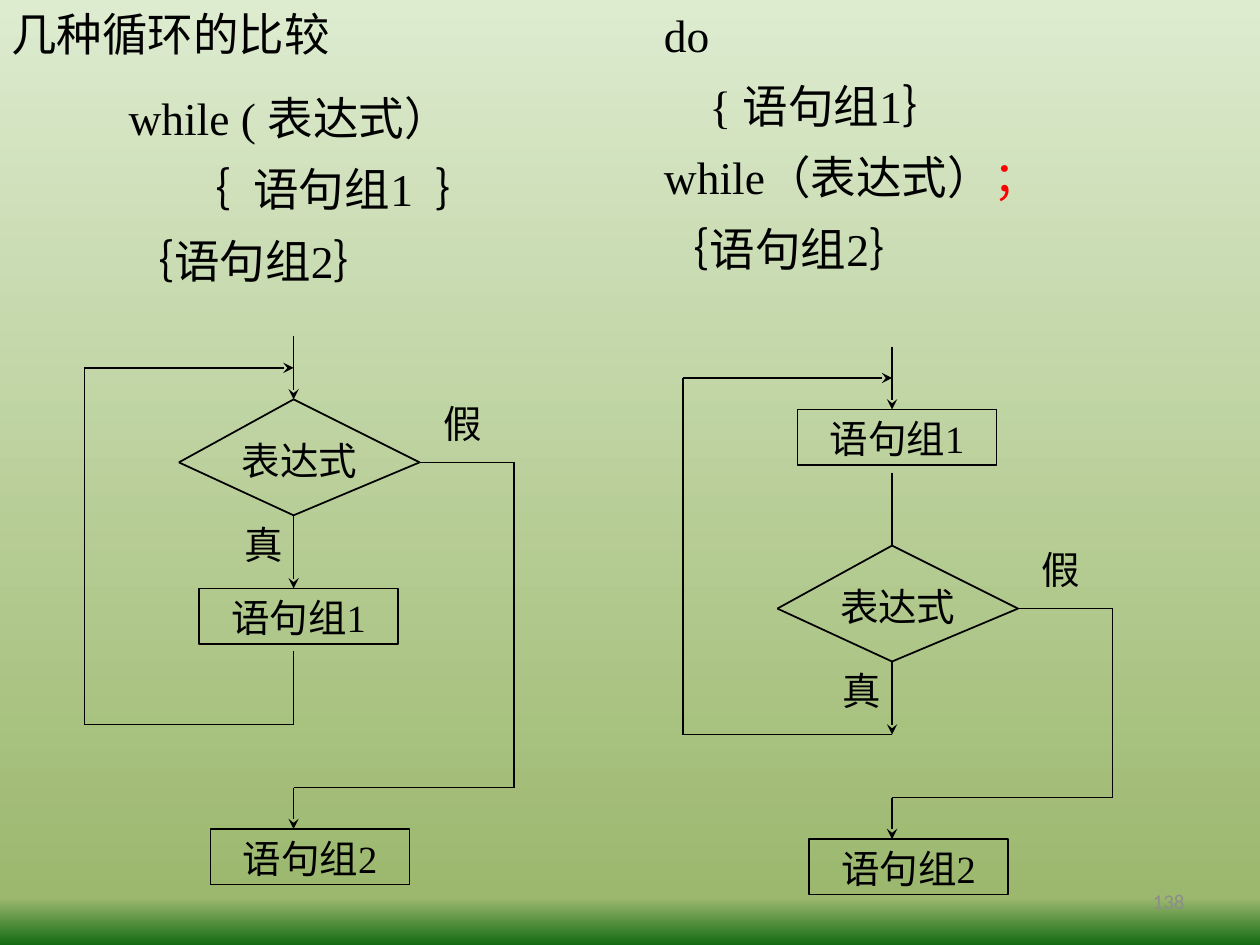
import copy
import itertools
import pptx
import pptx.util
import pptx.dml.color
import pptx.enum.shapes
import pptx.enum.text
import pptx.oxml
import pptx.oxml.ns

Inches = pptx.util.Inches
Pt = pptx.util.Pt
qn = pptx.oxml.ns.qn
ALIGN = pptx.enum.text.PP_ALIGN
COLORS = {"ink": "000000", "red": "FF0000", "gray": "8C8C8C",
          "pale": "DDEBCF", "leaf": "9CB86E", "deep": "156B13"}
WIDE = "\u2002"


def color(name):
    """Return the named colour."""
    return pptx.dml.color.RGBColor.from_string(COLORS[name])


def write(shape, lines, size=22, font="Times New Roman", ink="ink", align=None,
          lead=1.1, before=11, pad=(0.02, 0.01), wrap=True, grow=True, anchor="TOP"):
    """Fill a shape with lines, each an (indent, runs) pair of (text, colour) runs."""
    frame = shape.text_frame
    frame.word_wrap = wrap
    frame.margin_left = frame.margin_right = Inches(pad[0])
    frame.margin_top = frame.margin_bottom = Inches(pad[1])
    frame.vertical_anchor = pptx.enum.text.MSO_ANCHOR[anchor]
    if grow:
        frame.auto_size = pptx.enum.text.MSO_AUTO_SIZE.SHAPE_TO_FIT_TEXT
    if isinstance(lines, str):
        lines = [(0, [(lines, ink)])]
    for i, (indent, runs) in enumerate(lines):
        para = frame.add_paragraph() if i else frame.paragraphs[0]
        para.alignment = align or ALIGN.LEFT
        para.line_spacing = lead
        para.space_before = Pt(before)
        if indent:
            props = para._p.get_or_add_pPr()
            props.set("marL", str(Inches(indent)))
            props.set("indent", "0")
        for text, tint in runs:
            run = para.add_run()
            run.text = text
            run.font.size = Pt(size)
            run.font.name = font
            run.font.color.rgb = color(tint)


class Pen:
    """Draws the elements of one slide in one style."""

    def __init__(self, slide):
        """Start on the slide itself."""
        self.slide = slide
        self.shapes = slide.shapes

    def group(self):
        """Send what follows into a new group."""
        self.shapes = self.slide.shapes.add_group_shape().shapes

    def back(self, stops):
        """Paint a top to bottom gradient behind the slide."""
        fill = self.slide.background.fill
        fill.gradient()
        fill.gradient_angle = 270
        holder = next(self.slide.element.iter(qn("a:gsLst")))
        while len(holder) < len(stops):
            holder.append(copy.deepcopy(holder[0]))
        for stop, (place, name) in zip(fill.gradient_stops, stops):
            stop.position = place
            stop.color.rgb = color(name)

    def text(self, box, lines, **style):
        """Add a text box."""
        write(self.shapes.add_textbox(*map(Inches, box)), lines, **style)

    def box(self, x, y, text):
        """Add an outlined step box."""
        kind = pptx.enum.shapes.MSO_SHAPE.RECTANGLE
        shape = self.shapes.add_shape(kind, *map(Inches, (x, y, 1.58, 0.44)))
        shape.shadow.inherit = False
        shape.fill.background()
        shape.line.color.rgb = color("ink")
        shape.line.width = Pt(1)
        write(shape, text, align=ALIGN.CENTER)

    def path_line(self, *points, arrow=False):
        """Join points with lines, the last one with an arrowhead if asked."""
        kind = pptx.enum.shapes.MSO_CONNECTOR.STRAIGHT
        for start, end in itertools.pairwise(points):
            line = self.shapes.add_connector(kind, *map(Inches, start + end))
            line.line.color.rgb = color("ink")
            line.line.width = Pt(1)
            props = line._element.spPr
            props.append(pptx.oxml.parse_xml(
                '<a:effectLst xmlns:a="http://schemas.openxmlformats.org/drawingml/2006/main"/>'))
            if arrow and end == points[-1]:
                head = props.find(qn("a:ln")).makeelement(qn("a:tailEnd"), {"type": "stealth"})
                props.find(qn("a:ln")).append(head)

    def test(self, x, y):
        """Draw the decision diamond whose top is at x, y, with its labels."""
        top, right, low, left = (x, y), (x + 1, y + 0.5), (x, y + 0.92), (x - 0.91, y + 0.5)
        self.path_line(top, right, low, left, top)
        self.text((x - 0.58, y + 0.25, 1.25, 0.43), "表达式", align=ALIGN.CENTER)
        self.text((x - 0.41, y + 0.92, 0.5, 0.43), "真")
        self.text((x + 1.17, y - 0.04, 0.83, 0.43), "假")

    def flow(self, x, top, test, step, after):
        """Draw a loop chart; test and step are the tops of diamond and first box."""
        self.group()
        low, out, end = top + 3.08, top + 3.58, top + 3.91
        self.test(x, test)
        self.box(x - 0.75, step, "语句组1")
        self.box(x - 0.66, end, "语句组2")
        self.path_line((x, top), (x, top + 0.5), arrow=True)
        self.path_line((x, test + 0.92), (x, step if after else low), arrow=True)
        self.path_line((x, step + 0.5), (x, low if after else test))
        self.path_line((x, low), (x - 1.66, low), (x - 1.66, top + 0.25),
                       (x, top + 0.25), arrow=True)
        self.path_line((x + 1, test + 0.5), (x + 1.75, test + 0.5), (x + 1.75, out),
                       (x, out), (x, end), arrow=True)


def main():
    """Build the slide."""
    deck = pptx.Presentation()
    deck.slide_width, deck.slide_height = Inches(10), Inches(7.5)
    pen = Pen(deck.slides.add_slide(deck.slide_layouts[6]))
    pen.back([(0, "pale"), (0.95, "leaf"), (1, "deep")])
    pen.text((7.17, 6.95, 2.33, 0.4), "138", size=12, font="Calibri", ink="gray",
             align=ALIGN.RIGHT, lead=1, before=0, pad=(0.1, 0.05), grow=False,
             anchor="MIDDLE")
    pen.text((0, 0, 2.74, 0.53), "几种循环的比较", size=26, lead=1, before=13,
             pad=(0.09, 0.05), wrap=False)
    code = {"size": 26, "before": 6.5}
    pen.text((1, 0.66, 3.45, 1.67), [
        (0, [("while ( 表达式）", "ink")]),
        (0.45, [(f"｛{WIDE}语句组1{WIDE}｝", "ink")]),
        (0, [("｛语句组2｝", "ink")])], **code)
    pen.text((5.25, 0, 3.5, 2.26), [
        (0, [("do", "ink")]),
        (0.36, [("{ 语句组1｝", "ink")]),
        (0, [("while（表达式）", "ink"), ("；", "red")]),
        (0, [("｛语句组2｝", "ink")])], **code)
    pen.flow(2.33, 2.67, test=3.17, step=4.67, after=True)
    pen.flow(7.08, 2.75, test=4.33, step=3.25, after=False)
    deck.save("out.pptx")


main()
